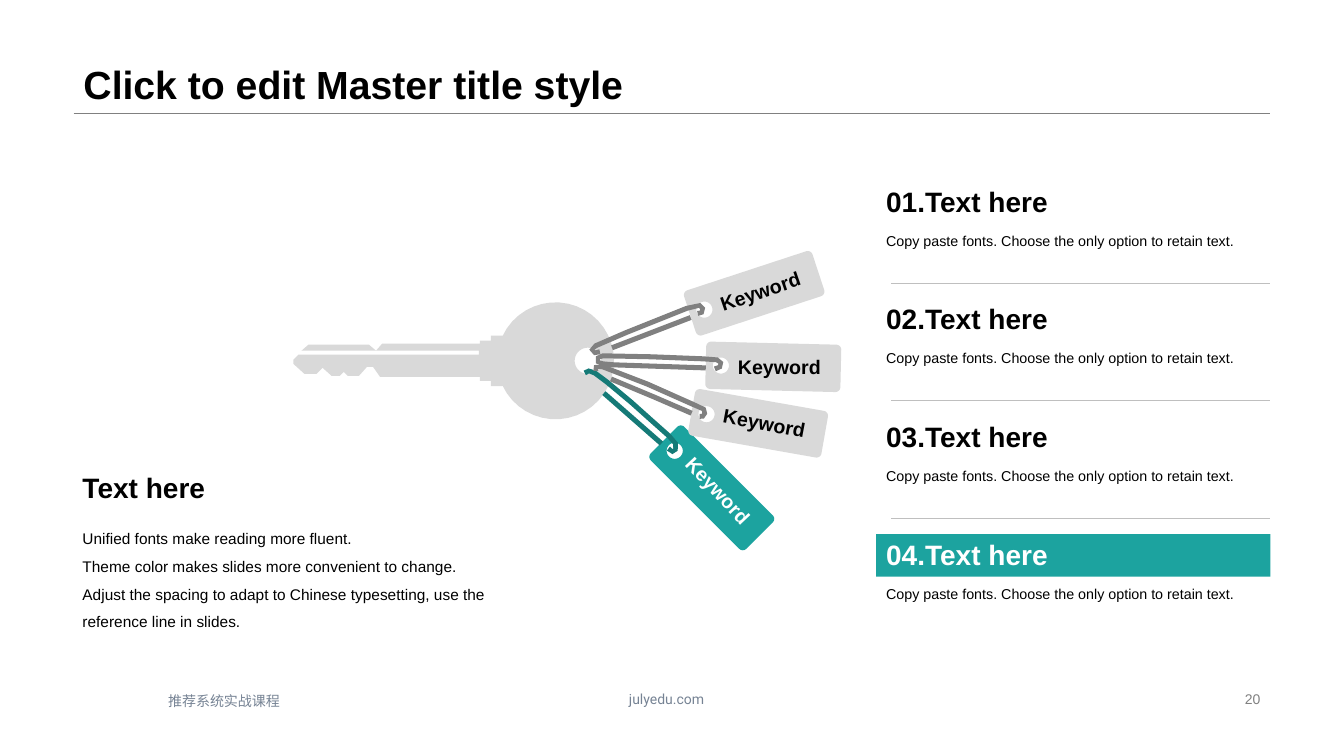
from math import atan2, cos, hypot, radians, sin

from lxml.etree import SubElement
from pptx import Presentation
from pptx.dml.color import RGBColor
from pptx.enum.shapes import MSO_CONNECTOR, MSO_SHAPE
from pptx.enum.text import MSO_ANCHOR as ANCHOR, PP_ALIGN as ALIGN
from pptx.oxml.ns import qn
from pptx.util import Pt

PX = 9144
COLORS = {
    "black": "000000", "white": "FFFFFF", "teal": "1CA39F", "dark_teal": "157A77",
    "light": "D9D9D9", "gray": "808080", "rule": "BFBFBF", "footer": "768394",
}
TITLE = "Click to edit Master title style"
HEADING = "Text here"
PARAGRAPHS = [
    "Unified fonts make reading more fluent.",
    "Theme color makes slides more convenient to change.",
    "Adjust the spacing to adapt to Chinese typesetting, use the reference line in slides.",
]
ITEMS = ["01.Text here", "02.Text here", "03.Text here", "04.Text here"]
ITEM_BODY = "Copy paste fonts. Choose the only option to retain text."
ITEM_LEFT, ITEM_WIDTH, ITEM_HEIGHT = 869, 391, 42
FIRST_TOP, LAST_TOP = 180, 530

KEY_HEAD = (551, 358, 58)
KEY_HOLE = (583, 358, 13)
KEY_PROFILE = [
    (498, 333), (487, 333), (487, 338), (476, 338), (476, 341), (379, 341), (373, 348),
    (366, 342), (306, 342), (299, 348), (475, 348), (475, 352), (296, 352), (291, 357),
    (291, 361), (302, 371), (314, 371), (320, 365), (329, 373), (337, 373), (341, 369),
    (345, 373), (356, 373), (364, 364), (370, 364), (377, 374), (476, 374), (476, 378),
    (487, 378), (487, 383), (498, 383),
]
TAG_WIDTH, TAG_HEIGHT, TAG_CORNER = 134, 47, 5
TAG_HOLE_OFFSET, TAG_HOLE_RADIUS = -52, 8
LOOP_WIDTH = 5
TAGS = [
    {"center": (706, 484), "angle": 45, "fill": "teal",
     "label": (661, 470, 103, 34), "label_angle": 46.8, "label_color": "white"},
    {"center": (752, 420), "angle": 10, "fill": "light",
     "label": (707, 403, 103, 34), "label_angle": 10.8, "label_color": "black"},
    {"center": (767, 364), "angle": 1.4, "fill": "light",
     "label": (722, 347, 103, 34), "label_angle": 0, "label_color": "black"},
    {"center": (748, 291), "angle": -18.2, "fill": "light",
     "label": (703, 272, 103, 34), "label_angle": -18.9, "label_color": "black"},
]
LOOPS = [
    ("dark_teal", [(599, 390), (656, 440)]),
    ("dark_teal", [(580, 370), (584, 368), (590, 370), (602, 379), (626, 399), (645, 416),
                   (663, 432), (670, 440), (670, 446), (667, 448), (663, 445)]),
    ("gray", [(700, 365), (609, 362), (598, 361), (593, 359), (593, 355), (598, 353),
              (646, 354), (697, 356), (711, 357), (715, 360), (714, 364), (709, 366)]),
    ("gray", [(606, 376), (649, 394), (686, 410)]),
    ("gray", [(591, 368), (591, 364), (598, 364), (642, 381), (687, 401),
              (698, 406), (699, 410), (697, 413), (694, 413)]),
    ("gray", [(607, 345), (685, 315)]),
    ("gray", [(595, 349), (590, 350), (587, 347), (591, 343), (621, 330), (681, 306),
              (694, 303), (697, 306), (696, 310), (692, 311)]),
]

presentation = Presentation()
presentation.slide_width, presentation.slide_height = 1333 * PX, 750 * PX
slide = presentation.slides.add_slide(presentation.slide_layouts[6])
shapes = slide.shapes


def rgb(name):
    return RGBColor.from_string(COLORS[name])


def emu(*lengths):
    return [round(length * PX) for length in lengths]


def add_text(box, lines, size, color="black", bold=False, font="Arial", align=ALIGN.LEFT,
             anchor=ANCHOR.TOP, spacing=1, fill=None, wrap=True, rotation=0):
    if fill:
        shape = shapes.add_shape(MSO_SHAPE.RECTANGLE, *emu(*box))
        shape.shadow.inherit = False
        shape.fill.solid()
        shape.fill.fore_color.rgb = rgb(fill)
        shape.line.fill.background()
    else:
        shape = shapes.add_textbox(*emu(*box))
    shape.rotation = rotation
    frame = shape.text_frame
    frame.word_wrap, frame.vertical_anchor = wrap, anchor
    font_values = {"size": Pt(size), "bold": bold, "name": font}
    for index, line in enumerate(lines):
        paragraph = frame.paragraphs[0] if index == 0 else frame.add_paragraph()
        paragraph.text = line
        paragraph.alignment, paragraph.line_spacing = align, spacing
        for name, value in font_values.items():
            setattr(paragraph.font, name, value)
        paragraph.font.color.rgb = rgb(color)


def add_rule(left, right, y, color):
    rule = shapes.add_connector(MSO_CONNECTOR.STRAIGHT, *emu(left, y, right, y))
    rule.line.color.rgb = rgb(color)
    rule.line.width = Pt(0.25)
    SubElement(rule.element.spPr, qn("a:effectLst"))


def add_outline(contours, color):
    first, *others = [[emu(*point) for point in contour] for contour in contours]
    builder = shapes.build_freeform(*first[0])
    builder.add_line_segments(first[1:])
    for contour in others:
        builder.move_to(*contour[0])
        builder.add_line_segments(contour[1:])
    shape = builder.convert_to_shape()
    shape.shadow.inherit = False
    shape.fill.solid()
    shape.fill.fore_color.rgb = rgb(color)
    shape.line.fill.background()


def arc(x, y, radius, start, end, steps=36):
    angles = [radians(start + (end - start) * i / steps) for i in range(steps + 1)]
    return [(x + radius * cos(a), y + radius * sin(a)) for a in angles]


def turn(points, center, degrees):
    c, s = cos(radians(degrees)), sin(radians(degrees))
    return [(center[0] + x * c - y * s, center[1] + x * s + y * c) for x, y in points]


def tag_contours(tag):
    x, y = TAG_WIDTH / 2 - TAG_CORNER, TAG_HEIGHT / 2 - TAG_CORNER
    corners = [(x, y), (-x, y), (-x, -y), (x, -y)]
    border = [point for i, corner in enumerate(corners)
              for point in arc(*corner, TAG_CORNER, 90 * i, 90 * i + 90, 6)]
    hole = arc(TAG_HOLE_OFFSET, 0, TAG_HOLE_RADIUS, 360, 0)
    return [turn(part, tag["center"], tag["angle"]) for part in (border, hole)]


def ribbon(points):
    left, right = [], []
    for i, (x, y) in enumerate(points):
        before, after = points[max(i - 1, 0)], points[min(i + 1, len(points) - 1)]
        units = []
        for (x1, y1), (x2, y2) in ((before, (x, y)), ((x, y), after)):
            length = hypot(x2 - x1, y2 - y1)
            if length:
                units.append(((x2 - x1) / length, (y2 - y1) / length))
        angle = atan2(sum(u[1] for u in units), sum(u[0] for u in units))
        dx, dy = -sin(angle) * LOOP_WIDTH / 2, cos(angle) * LOOP_WIDTH / 2
        left.append((x + dx, y + dy))
        right.append((x - dx, y - dy))
    return left + right[::-1]


add_rule(73, 1260, 112, "gray")
add_text((530, 680, 262, 27), ["julyedu.com"], 10, "footer", font="Roboto", align=ALIGN.CENTER)
add_text((73, 0, 1187, 112), [TITLE], 28, bold=True, anchor=ANCHOR.BOTTOM, spacing=0.9)
add_text((942, 682, 318, 23), ["20"], 10, "gray", align=ALIGN.RIGHT, anchor=ANCHOR.MIDDLE)

add_outline([KEY_PROFILE + arc(*KEY_HEAD, 155, -155), arc(*KEY_HOLE, 0, 360)], "light")
for tag in TAGS:
    add_outline(tag_contours(tag), tag["fill"])
for tag in TAGS:
    add_text(tag["label"], ["Keyword"], 14, tag["label_color"], bold=True, wrap=False,
             rotation=tag["label_angle"])
for color, centerline in LOOPS:
    add_outline([ribbon(centerline)], color)

for index, item in enumerate(ITEMS):
    last = index == len(ITEMS) - 1
    top = FIRST_TOP + (LAST_TOP - FIRST_TOP) * index // (len(ITEMS) - 1)
    add_text((ITEM_LEFT, top + ITEM_HEIGHT, ITEM_WIDTH, ITEM_HEIGHT), [ITEM_BODY], 10.2,
             spacing=1.2)
    add_text((ITEM_LEFT, top, ITEM_WIDTH, ITEM_HEIGHT), [item], 20,
             "white" if last else "black", bold=True, anchor=ANCHOR.BOTTOM, spacing=0.9,
             fill="teal" if last else None)
    if not last:
        add_rule(884, 1260, top + 101, "rule")

add_text((72, 511, 464, 129), PARAGRAPHS, 11, spacing=1.5)
add_text((72, 462, 464, 48), [HEADING], 20, bold=True)
add_text((157, 682, 453, 23), ["推荐系统实战课程"], 10, "footer")

presentation.save("out.pptx")
